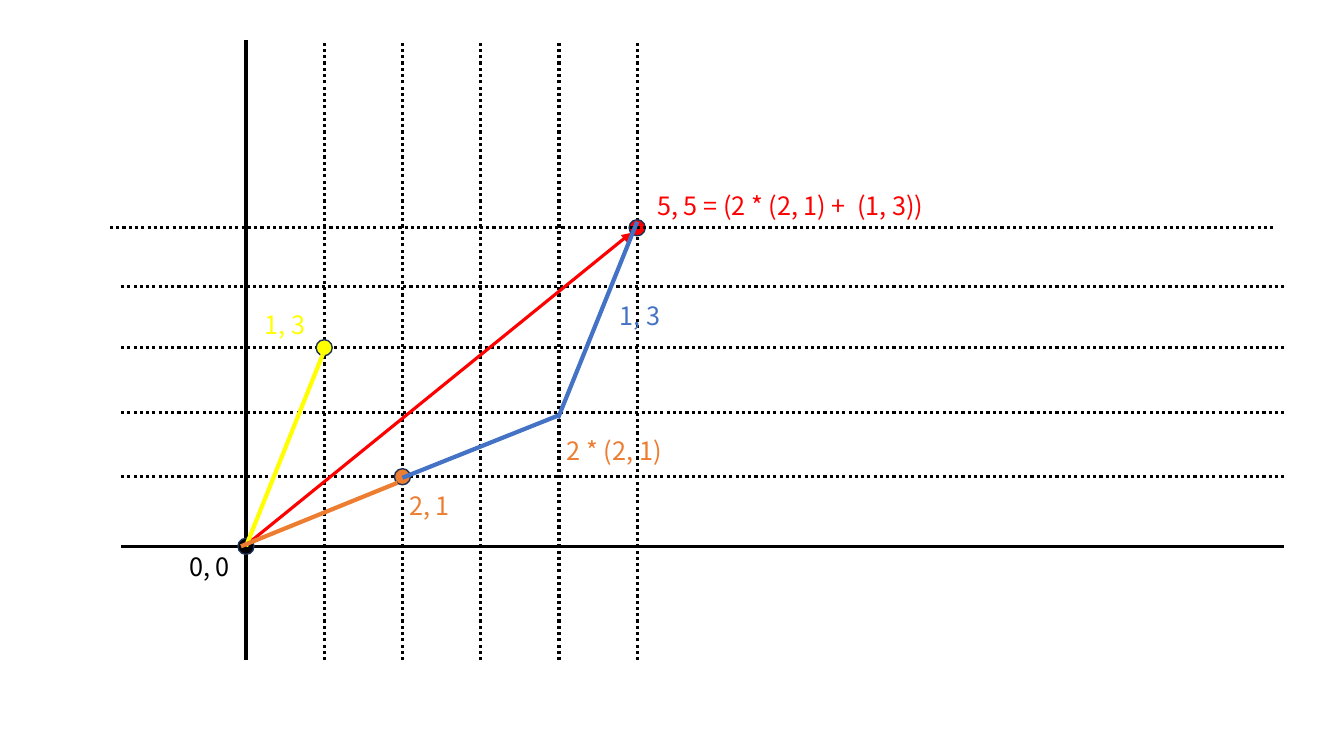
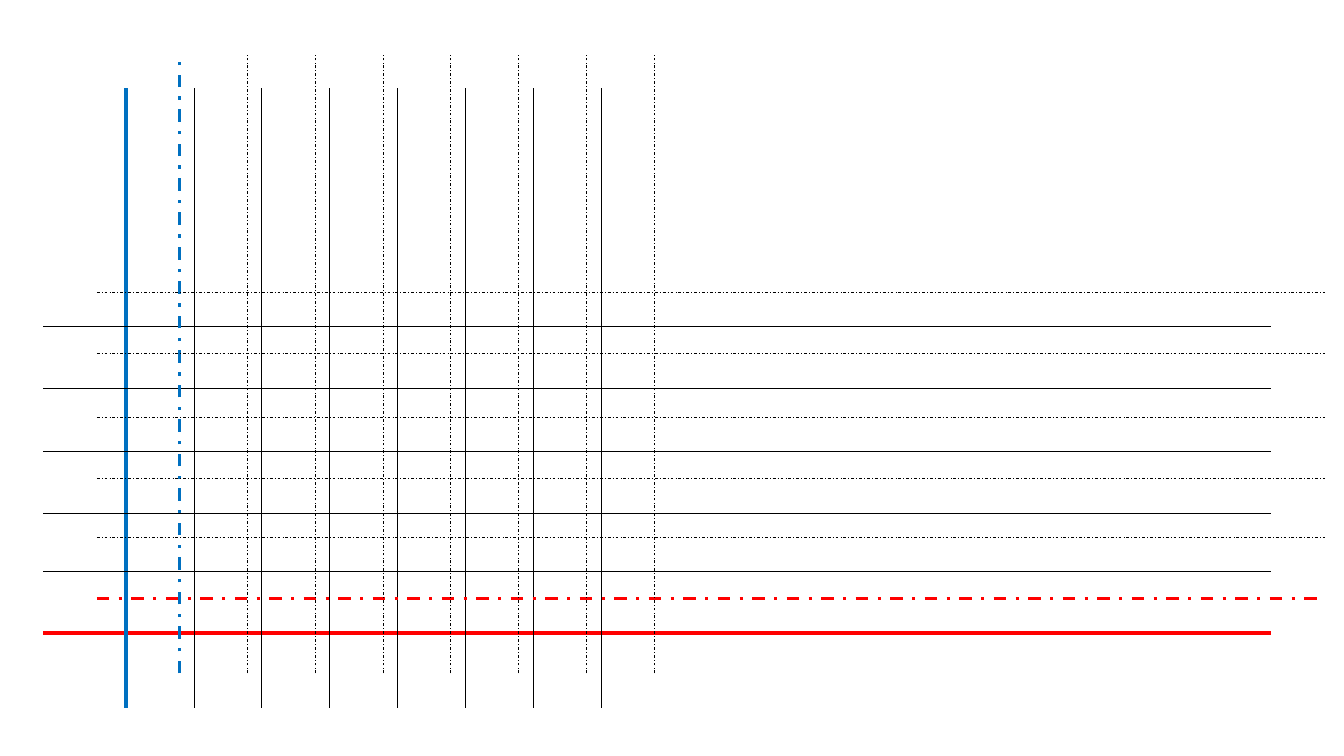
from dataclasses import dataclass

from lxml.etree import SubElement
from pptx import Presentation
from pptx.dml.color import RGBColor
from pptx.enum.dml import MSO_LINE
from pptx.enum.shapes import MSO_CONNECTOR, MSO_SHAPE
from pptx.enum.text import MSO_AUTO_SIZE
from pptx.oxml.ns import qn
from pptx.util import Inches, Pt

COLORS = {"black": "000000", "red": "FF0000", "yellow": "FFFF00",
          "orange": "ED7D31", "blue": "4472C4", "deep_blue": "0070C0",
          "dot_edge": "1E3256"}
LABEL_FONT = {"name": "Noto Sans CJK KR", "size": Pt(18)}
LABEL_FRAME = {"word_wrap": True, "auto_size": MSO_AUTO_SIZE.SHAPE_TO_FIT_TEXT}
AXIS, HAIR, VECTOR = 2.25, 0.5, 3
DOT_SIZE = 0.16
LABEL_HEIGHT = 0.4


@dataclass
class Grid:
    """Plane whose axes sit inside a box (left, top, width, height)."""
    box: tuple
    axis_x: float
    axis_y: float
    pitch: float
    rows: tuple

    def point(self, column, row, dx=0, dy=0):
        left, top, _, _ = self.box
        return (left + self.axis_x + column * self.pitch + dx,
                top + self.axis_y - self.rows[row] + dy)


def rgb(color):
    return RGBColor.from_string(COLORS[color])


def apply_format(target, values):
    for key, value in values.items():
        setattr(target, key, value)


def add_line(page, start, end, color, width, dash=None, arrow=False):
    line = page.shapes.add_connector(
        MSO_CONNECTOR.STRAIGHT, *map(Inches, (*start, *end)))
    line.line.color.rgb = rgb(color)
    apply_format(line.line, {"width": Pt(width), "dash_style": dash})
    outline = line.line._get_or_add_ln()
    if arrow:
        SubElement(outline, qn("a:tailEnd"), type="triangle")
    SubElement(line.element.spPr, qn("a:effectLst"))


def add_column(page, grid, column, color, width, dash=None):
    _, top, _, height = grid.box
    x, _ = grid.point(column, 0)
    add_line(page, (x, top + height), (x, top), color, width, dash)


def add_row(page, grid, row, color, width, dash=None, shift=0):
    left, _, span, _ = grid.box
    _, y = grid.point(0, row)
    add_line(page, (left + shift, y), (left + shift + span, y), color, width, dash)


def add_dot(page, grid, column, row, color):
    x, y = grid.point(column, row, -DOT_SIZE / 2, -DOT_SIZE / 2)
    dot = page.shapes.add_shape(
        MSO_SHAPE.OVAL, *map(Inches, (x, y, DOT_SIZE, DOT_SIZE)))
    dot.shadow.inherit = False
    dot.fill.solid()
    dot.fill.fore_color.rgb = rgb(color)
    dot.line.color.rgb = rgb("dot_edge")
    dot.line.width = Pt(1)


def add_label(page, grid, place, width, text, color):
    x, y = grid.point(*place)
    box = page.shapes.add_textbox(*map(Inches, (x, y, width, LABEL_HEIGHT)))
    apply_format(box.text_frame, LABEL_FRAME)
    span = box.text_frame.paragraphs[0].add_run()
    span.text = text
    apply_format(span.font, LABEL_FONT)
    span.font.color.rgb = rgb(color)


def vector_page(page, grid):
    # Axes and dotted grid
    add_row(page, grid, 0, "black", AXIS)
    add_column(page, grid, 0, "black", AXIS)
    for column in range(1, 6):
        add_column(page, grid, column, "black", AXIS, MSO_LINE.ROUND_DOT)
    for row in range(1, 5):
        add_row(page, grid, row, "black", AXIS, MSO_LINE.ROUND_DOT)

    # Points; the top row runs over the sum's point
    add_dot(page, grid, 0, 0, "black")
    add_dot(page, grid, 5, 5, "red")
    add_row(page, grid, 5, "black", AXIS, MSO_LINE.ROUND_DOT, shift=-0.11)
    add_dot(page, grid, 2, 1, "orange")
    add_dot(page, grid, 1, 3, "yellow")

    # Vectors: column, row and nudge of each end
    vectors = [
        ((1, 3, 0, 0.03), (0, 0), "yellow", VECTOR, False),
        ((0, 0, 0.06, -0.06), (5, 5, -0.06, 0.05), "red", AXIS, True),
        ((0, 0, -0.05, 0), (2, 1, -0.05, 0.06), "orange", VECTOR, False),
        ((2, 1, 0, 0.01), (4, 2, 0, 0.03), "blue", VECTOR, False),
        ((5, 5, 0, -0.06), (4, 2, -0.01, 0.06), "blue", VECTOR, False),
    ]
    for start, end, color, width, arrow in vectors:
        add_line(page, grid.point(*start), grid.point(*end), color, width,
                 arrow=arrow)

    # Labels: column, row and nudge of the corner
    labels = [
        ((0, 0, -0.66, 0), 0.7, "0, 0", "black"),
        ((5, 5, 0.1, -0.42), 3.2, "5, 5 = (2 * (2, 1) +  (1, 3)) ", "red"),
        ((2, 1, -0.03, 0.09), 0.82, "2, 1", "orange"),
        ((1, 3, -0.69, -0.43), 0.82, "1, 3", "yellow"),
        ((4, 2, -0.02, 0.18), 1.15, "2 * (2, 1)", "orange"),
        ((5, 4, -0.27, 0.09), 0.82, "1, 3", "blue"),
    ]
    for label in labels:
        add_label(page, grid, *label)


def lattice(page, grid, dash=None):
    # Coloured axes
    add_row(page, grid, 0, "red", AXIS, dash)
    add_column(page, grid, 0, "deep_blue", AXIS, dash)
    # Thin grid
    for column in range(1, 8):
        add_column(page, grid, column, "black", HAIR, dash)
    for row in range(1, len(grid.rows)):
        add_row(page, grid, row, "black", HAIR, dash)


deck = Presentation()
apply_format(deck, {"slide_width": Inches(13.33), "slide_height": Inches(7.5)})
blank = deck.slide_layouts[6]

vector_page(deck.slides.add_slide(blank),
            Grid((1.2, 0.4, 11.54, 6.15), 1.24, 5.02, 3.88 / 5,
                 (0, 0.69, 1.33, 1.97, 2.58, 3.16)))

# Solid lattice and its shifted, dashed twin
lattice_page = deck.slides.add_slide(blank)
for left, top, dash in [(0.43, 0.87, None), (0.96, 0.53, MSO_LINE.DASH_DOT)]:
    lattice(lattice_page,
            Grid((left, top, 12.18, 6.15), 0.82, 5.41, 4.71 / 7,
                 (0, 0.61, 1.19, 1.8, 2.43, 3.04)), dash)

deck.save("out.pptx")
